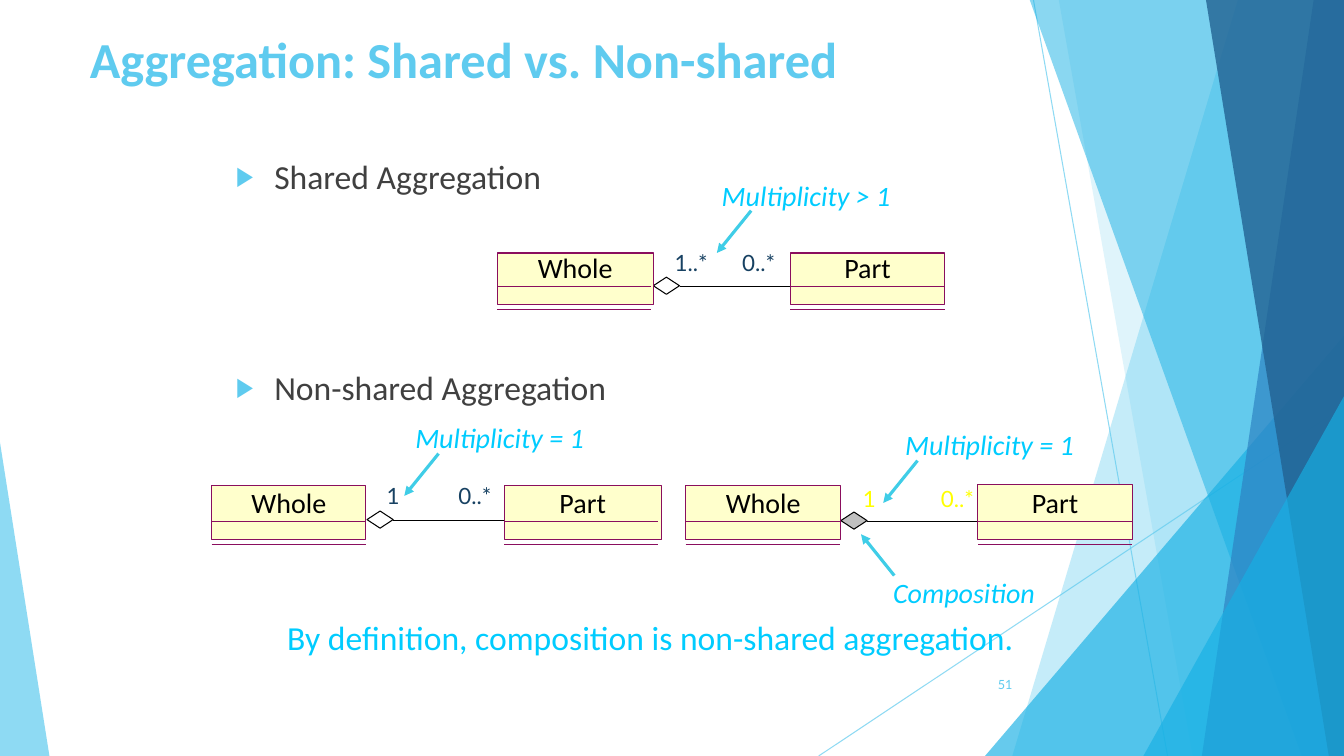
from dataclasses import dataclass
from typing import Optional

from pptx import Presentation
from pptx import util as u
from pptx.dml.color import RGBColor
from pptx.enum import shapes, text
from pptx.oxml import ns, xmlchemy

SKY, AZURE, CYAN, ARROW = "5FCBEF", "17B0E4", "00CCFF", "3FCDE7"
NAVY, YELLOW, BLACK, PLUM, CREAM = "174162", "FFFF00", "000000", "8A0E5E", "FFFFCC"
LEFT, CENTER, RIGHT = text.PP_ALIGN.LEFT, text.PP_ALIGN.CENTER, text.PP_ALIGN.RIGHT
TOP, MIDDLE = text.MSO_ANCHOR.TOP, text.MSO_ANCHOR.MIDDLE
NAME_WIDTHS = {"Whole": 0.78, "Part": 0.47}


@dataclass
class Facet:
    points: list
    color: str
    opacity: int


@dataclass
class Corner:
    left: float
    top: float
    width: float
    height: float
    apex: int
    color: str
    opacity: int


@dataclass
class UmlClass:
    name: str
    left: float
    top: float
    width: float
    divider: float
    name_top: float


@dataclass
class Association:
    left: float
    y: float
    diamond_fill: Optional[str] = None


@dataclass
class Caption:
    wording: str
    left: float
    top: float
    width: float
    height: float
    color: str = CYAN
    size: int = 20
    font: str = "Calibri"
    italic: bool = False
    align: text.PP_ALIGN = LEFT
    anchor: text.MSO_ANCHOR = TOP
    inset: float = 0.1
    wrap: bool = True


def rgb(color: str) -> RGBColor:
    return RGBColor.from_string(color)


def box(left: float, top: float, width: float, height: float) -> tuple:
    return tuple(u.Inches(n) for n in (left, top, width, height))


def apply(target, formats: dict) -> None:
    for attribute, value in formats.items():
        setattr(target, attribute, value)


def fade(shape, opacity: int) -> None:
    color = next(shape.element.spPr.iter(ns.qn("a:srgbClr")))
    add_child(color, "a:alpha", val=opacity * 1000)


def add_child(parent, tag: str, **attributes):
    child = xmlchemy.OxmlElement(tag)
    for key, value in attributes.items():
        child.set(key, str(value))
    parent.append(child)
    return child


def paint(shape, fill: Optional[str], line: Optional[str] = None, opacity: int = 100) -> None:
    shape.shadow.inherit = False
    if fill:
        shape.fill.solid()
        shape.fill.fore_color.rgb = rgb(fill)
    else:
        shape.fill.background()
    if line:
        shape.line.color.rgb = rgb(line)
        shape.line.width = u.Pt(0.75)
    else:
        shape.line.fill.background()
    if opacity < 100:
        fade(shape, opacity)


def draw_line(slide, start: tuple, end: tuple, color: str, width: float = 0.75,
              opacity: int = 100, arrow: bool = False) -> None:
    line = slide.shapes.add_connector(shapes.MSO_CONNECTOR.STRAIGHT, *box(*start, *end))
    line.line.color.rgb = rgb(color)
    line.line.width = u.Pt(width)
    if opacity < 100:
        fade(line, opacity)
    if arrow:
        add_child(line.line._get_or_add_ln(), "a:tailEnd", type="triangle")
    add_child(line.element.spPr, "a:effectLst")


def draw_facet(slide, facet: Facet) -> None:
    points = [(u.Inches(x), u.Inches(y)) for x, y in facet.points]
    builder = slide.shapes.build_freeform(*points[0])
    builder.add_line_segments(points[1:], close=True)
    paint(builder.convert_to_shape(), facet.color, opacity=facet.opacity)


def draw_corner(slide, corner: Corner) -> None:
    triangle = slide.shapes.add_shape(
        shapes.MSO_SHAPE.ISOSCELES_TRIANGLE,
        *box(corner.left, corner.top, corner.width, corner.height))
    triangle.adjustments[0] = corner.apex
    paint(triangle, corner.color, opacity=corner.opacity)


def draw_caption(slide, caption: Caption) -> None:
    frame = slide.shapes.add_textbox(
        *box(caption.left, caption.top, caption.width, caption.height)).text_frame
    side, edge = u.Inches(caption.inset), u.Inches(caption.inset / 2)
    apply(frame, {"word_wrap": caption.wrap, "vertical_anchor": caption.anchor,
                  "margin_left": side, "margin_right": side,
                  "margin_top": edge, "margin_bottom": edge})
    frame.paragraphs[0].alignment = caption.align
    write(frame.paragraphs[0], caption.wording, caption.color,
          {"name": caption.font, "size": u.Pt(caption.size), "italic": caption.italic})


def write(paragraph, wording: str, color: str, formats: dict) -> None:
    run = paragraph.add_run()
    run.text = wording
    apply(run.font, formats)
    run.font.color.rgb = rgb(color)


def draw_class(slide, uml: UmlClass) -> None:
    frame = slide.shapes.add_shape(
        shapes.MSO_SHAPE.RECTANGLE,
        *box(uml.left, uml.top, uml.width, uml.divider + 0.18 - uml.top))
    paint(frame, CREAM, PLUM)
    for y in (uml.divider + 0.23, uml.divider):
        draw_line(slide, (uml.left, y), (uml.left + 1.53, y), PLUM)
    width = NAME_WIDTHS[uml.name]
    draw_caption(slide, Caption(uml.name, uml.left + (uml.width - width) / 2, uml.name_top,
                                width, 0.34, BLACK, align=CENTER, inset=0, wrap=False))


def draw_association(slide, link: Association) -> None:
    draw_line(slide, (link.left + 0.26, link.y), (link.left + 1.73, link.y), BLACK)
    diamond = slide.shapes.add_shape(shapes.MSO_SHAPE.DIAMOND,
                                     *box(link.left, link.y - 0.09, 0.26, 0.17))
    paint(diamond, link.diamond_fill, BLACK)


def place(placeholder, left: float, top: float, width: float, height: float,
          formats: dict) -> None:
    apply(placeholder, dict(zip(("left", "top", "width", "height"),
                                box(left, top, width, height))))
    apply(placeholder.text_frame, {"word_wrap": True, "auto_size": text.MSO_AUTO_SIZE.NONE,
                                   **formats})
    placeholder.element.getparent().append(placeholder.element)


def facet(top_x: float, bottom_x: float, color: str, opacity: int) -> Facet:
    return Facet([(top_x, -0.01), (13.33, -0.01), (13.33, 7.5), (bottom_x, 7.5)],
                 color, opacity)


def multiplicity(wording: str, left: float, top: float, width: float,
                 color: str = NAVY) -> Caption:
    return Caption(wording, left, top, width, 0.37, color, 16, "Lato", align=CENTER)


def note(wording: str, left: float, top: float, width: float = 2.45) -> Caption:
    return Caption(wording, left, top, width, 0.44, italic=True)


BACKDROP_LINES = [((10.25, 0), (11.58, 7.5)), ((13.33, 4.03), (8.12, 7.5))]
BACKDROP = [
    facet(12.28, 10.04, SKY, 36), facet(10.5, 11.83, SKY, 20),
    Corner(9.77, 3.33, 3.56, 4.17, 1, AZURE, 66),
    facet(10.21, 12.91, AZURE, 50), facet(13.03, 11.92, "2E83C3", 70),
    facet(11.96, 13.18, "226292", 80),
    Corner(11.34, 3.93, 1.99, 3.57, 1, AZURE, 66),
    Corner(0, 4.39, 0.49, 3.11, 0, SKY, 70),
]
ASSOCIATIONS = [Association(8.34, 5.17, "C0C0C0"), Association(6.48, 2.84),
                Association(3.64, 5.16)]
CLASSES = [
    UmlClass("Whole", 4.93, 2.51, 1.55, 2.84, 2.49), UmlClass("Part", 7.84, 2.51, 1.53, 2.84, 2.49),
    UmlClass("Whole", 2.1, 4.82, 1.53, 5.17, 4.82), UmlClass("Part", 5, 4.82, 1.56, 5.17, 4.82),
    UmlClass("Whole", 6.8, 4.82, 1.54, 5.17, 4.82), UmlClass("Part", 9.7, 4.81, 1.53, 5.17, 4.82),
]
CAPTIONS = [
    multiplicity("1..*", 6.36, 2.42, 0.99), multiplicity("0..*", 7.03, 2.42, 0.99),
    multiplicity("1", 3.7, 4.73, 0.4), multiplicity("0..*", 4.38, 4.73, 0.66),
    multiplicity("1", 8.46, 4.76, 0.31, YELLOW), multiplicity("0..*", 9.17, 4.76, 0.65, YELLOW),
    note("Multiplicity > 1", 7.06, 1.72), note("Multiplicity = 1", 4.02, 4.12),
    note("Multiplicity = 1", 8.88, 4.19), note("Composition", 8.76, 5.66, 1.73),
    Caption("By definition, composition is non-shared aggregation.", 2.75, 6.07, 8.09, 0.5, size=24),
    Caption("51", 9.39, 6.59, 0.75, 0.4, SKY, 9, "Lato", align=RIGHT, anchor=MIDDLE),
]
ARROWS = [((7.45, 2.09), (7.11, 2.51)), ((9.1, 4.57), (8.76, 4.99)),
          ((8.87, 5.71), (8.54, 5.3)), ((4.35, 4.5), (4.01, 4.92))]
BULLETS = [("Shared Aggregation", 0), ("Non-shared Aggregation", 121.5)]


def main() -> None:
    deck = Presentation()
    apply(deck, {"slide_width": u.Inches(13.33), "slide_height": u.Inches(7.5)})
    slide = deck.slides.add_slide(deck.slide_layouts[1])

    # Backdrop
    for start, end in BACKDROP_LINES:
        draw_line(slide, start, end, SKY, opacity=70)
    for part in BACKDROP:
        (draw_facet if isinstance(part, Facet) else draw_corner)(slide, part)

    # Title
    title = slide.shapes.title
    place(title, 0.79, -0.14, 9.4, 1.44, {"vertical_anchor": MIDDLE})
    heading = title.text_frame.paragraphs[0]
    heading.alignment = LEFT
    write(heading, "Aggregation: Shared vs. Non-shared", SKY,
          {"name": "Calibri", "size": u.Pt(36), "bold": True})

    # Kinds of aggregation
    kinds = slide.placeholders[1]
    side, edge = u.Inches(0.12), u.Inches(0.06)
    place(kinds, 2.22, 1.49, 8.4, 4.96,
          {"vertical_anchor": TOP, "margin_left": side, "margin_right": side,
           "margin_top": edge, "margin_bottom": edge})
    for index, (wording, gap) in enumerate(BULLETS):
        frame = kinds.text_frame
        bullet = frame.add_paragraph() if index else frame.paragraphs[0]
        properties = bullet._p.get_or_add_pPr()
        apply_indent = {"marL": u.Inches(0.38), "indent": -u.Inches(0.38)}
        for key, value in apply_indent.items():
            properties.set(key, str(value))
        add_child(add_child(properties, "a:buClr"), "a:srgbClr", val=SKY)
        add_child(properties, "a:buSzPct", val=80000)
        add_child(properties, "a:buChar", char="▶")
        bullet.space_before = u.Pt(gap)
        write(bullet, wording, "404040", {"name": "Calibri", "size": u.Pt(24)})

    # Class diagrams
    for draw, items in ((draw_association, ASSOCIATIONS), (draw_class, CLASSES),
                        (draw_caption, CAPTIONS)):
        for item in items:
            draw(slide, item)
    for start, end in ARROWS:
        draw_line(slide, start, end, ARROW, width=2.25, arrow=True)

    deck.save("out.pptx")


if __name__ == "__main__":
    main()
